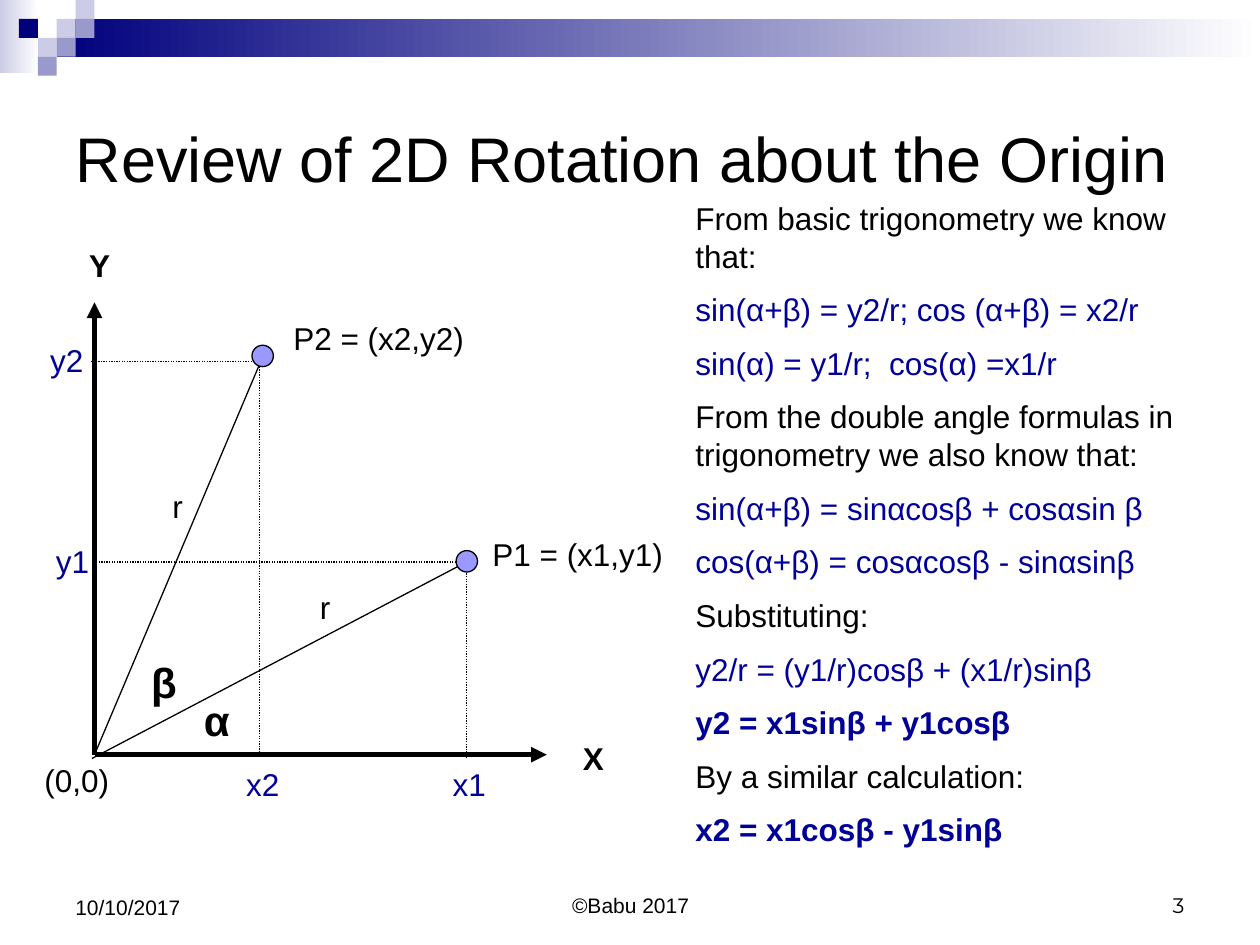
from dataclasses import dataclass

from lxml.etree import SubElement
from pptx import Presentation
from pptx.dml.color import RGBColor
from pptx.enum.dml import MSO_LINE
from pptx.enum.shapes import MSO_CONNECTOR, MSO_SHAPE
from pptx.enum.text import MSO_ANCHOR, MSO_AUTO_SIZE, PP_ALIGN
from pptx.oxml.ns import qn
from pptx.util import Inches, Pt


@dataclass(frozen=True)
class Theme:
    """Colours, fonts and type sizes of the slide."""
    black: str = "000000"
    white: str = "FFFFFF"
    navy: str = "00007D"
    lavender: str = "CCCCE6"
    violet: str = "9999CC"
    point: str = "9999FF"
    formula: str = "000099"
    font: str = "Arial"
    number_font: str = "Montserrat"
    title: int = 36
    angle: int = 24
    body: int = 18
    footer: int = 12
    paragraph_gap: int = 9


THEME = Theme()


@dataclass(frozen=True)
class Label:
    """A one-line text box."""
    text: str
    left: float
    top: float
    width: float
    height: float = 0.4
    size: int = THEME.body
    color: str = THEME.black
    bold: bool = False
    align: PP_ALIGN = PP_ALIGN.LEFT
    wrap: bool = False
    font: str = THEME.font
    footer: bool = False


@dataclass(frozen=True)
class Segment:
    """A straight line between two places."""
    start: tuple[float, float]
    end: tuple[float, float]
    width: float = 0.75
    dotted: bool = False


@dataclass(frozen=True)
class Statement:
    """A paragraph of the derivation."""
    text: str
    color: str = THEME.formula
    bold: bool = False


def style_paragraph(para, size: int, color: str, bold: bool = False,
                    font: str = THEME.font) -> None:
    """Format every run of a paragraph."""
    for span in para.runs:
        span.font.name = font
        span.font.size = Pt(size)
        span.font.bold = bold
        span.font.color.rgb = RGBColor.from_string(color)


def add_block(page, kind: MSO_SHAPE, left: float, top: float, width: float,
              height: float, color: str, fade: bool = False,
              outline: bool = False) -> None:
    """Add a filled shape, optionally fading to white or outlined."""
    block = page.shapes.add_shape(kind, Inches(left), Inches(top),
                                  Inches(width), Inches(height))
    block.shadow.inherit = False
    if fade:
        block.fill.gradient()
        block.fill.gradient_angle = 0
        for stop, shade in zip(block.fill.gradient_stops, (color, THEME.white)):
            stop.color.rgb = RGBColor.from_string(shade)
    else:
        block.fill.solid()
        block.fill.fore_color.rgb = RGBColor.from_string(color)
    if outline:
        block.line.color.rgb = RGBColor.from_string(THEME.black)
        block.line.width = Pt(0.75)
    else:
        block.line.fill.background()


def add_segment(page, segment: Segment) -> None:
    """Add a dotted guide or a solid arrow."""
    line = page.shapes.add_connector(
        MSO_CONNECTOR.STRAIGHT, *map(Inches, segment.start + segment.end))
    line.line.color.rgb = RGBColor.from_string(THEME.black)
    line.line.width = Pt(segment.width)
    if segment.dotted:
        line.line.dash_style = MSO_LINE.ROUND_DOT
    else:
        SubElement(line.line._get_or_add_ln(), qn("a:tailEnd"), type="triangle")
    SubElement(line._element.spPr, qn("a:effectLst"))


def add_label(page, label: Label) -> None:
    """Add a text box holding one line."""
    box = page.shapes.add_textbox(Inches(label.left), Inches(label.top),
                                  Inches(label.width), Inches(label.height))
    frame = box.text_frame
    frame.text = label.text
    frame.word_wrap = label.wrap
    if label.footer:
        frame.vertical_anchor = MSO_ANCHOR.BOTTOM
    else:
        frame.auto_size = MSO_AUTO_SIZE.SHAPE_TO_FIT_TEXT
    para = frame.paragraphs[0]
    para.alignment = label.align
    style_paragraph(para, label.size, label.color, label.bold, label.font)


def add_derivation(page, statements: list[Statement]) -> None:
    """Add the column of statements and formulas."""
    box = page.shapes.add_textbox(Inches(5.42), Inches(1.53),
                                  Inches(4.12), Inches(5.52))
    frame = box.text_frame
    frame.word_wrap = True
    frame.text = "\n".join(statement.text for statement in statements)
    for para, statement in zip(frame.paragraphs, statements):
        para.space_before = Pt(THEME.paragraph_gap)
        style_paragraph(para, THEME.body, statement.color, statement.bold)


def add_banner(page) -> None:
    """Add the fading bars and the checkered squares at the top."""
    add_block(page, MSO_SHAPE.RECTANGLE, 0, 0, 0.31, 0.58, THEME.lavender, fade=True)
    add_block(page, MSO_SHAPE.RECTANGLE, 0.45, 0.15, 9.55, 0.3, THEME.navy, fade=True)
    side = 0.15
    squares = {THEME.lavender: [(3, 1), (4, 0), (2, 2)],
               THEME.violet: [(4, 1), (3, 2), (2, 3)],
               THEME.navy: [(1, 1)]}
    for color, cells in squares.items():
        for column, row in cells:
            add_block(page, MSO_SHAPE.RECTANGLE, column * side, row * side,
                      side, side, color)


def add_title(page, text: str) -> None:
    """Place and format the title placeholder."""
    title = page.shapes.title
    title.left, title.top, title.width, title.height = map(Inches, (0.5, 0.5, 9, 1.5))
    title.text_frame.text = text
    title.text_frame.vertical_anchor = MSO_ANCHOR.MIDDLE
    para = title.text_frame.paragraphs[0]
    para.alignment = PP_ALIGN.LEFT
    style_paragraph(para, THEME.title, THEME.black)


CENTER = PP_ALIGN.CENTER
ORIGIN = (0.75, 5.99)
SEGMENTS = [
    Segment(ORIGIN, (0.75, 2.4), 3),
    Segment(ORIGIN, (4.34, 5.99), 3),
    Segment(ORIGIN, (2.09, 2.82)),
    Segment((0.73, 6.02), (3.78, 4.42)),
    Segment((2.06, 2.87), (2.06, 5.98), dotted=True),
    Segment((2.06, 2.87), (0.72, 2.87), dotted=True),
    Segment((3.7, 4.51), (3.7, 6.02), dotted=True),
    Segment((3.66, 4.46), (0.76, 4.46), dotted=True),
]
POINTS = [(2, 2.74), (3.62, 4.37)]
LABELS = [
    Label("X", 4.42, 5.82, 0.58, bold=True, align=CENTER, wrap=True),
    Label("Y", 0.5, 1.9, 0.58, bold=True, align=CENTER, wrap=True),
    Label("(0,0)", 0.25, 5.99, 0.72, align=CENTER),
    Label("P2 = (x2,y2)", 2.23, 2.48, 1.56),
    Label("P1 = (x1,y1)", 3.81, 4.2, 1.56),
    Label("β", 1.1, 5.16, 0.38, 0.5, THEME.angle, bold=True),
    Label("α", 1.52, 5.46, 0.41, 0.5, THEME.angle, bold=True),
    Label("r", 1.27, 3.82, 0.34, wrap=True),
    Label("r", 2.44, 4.62, 0.34, wrap=True),
    Label("x2", 1.85, 6.02, 0.47, color=THEME.formula, align=CENTER),
    Label("y2", 0.3, 2.66, 0.47, color=THEME.formula),
    Label("x1", 3.49, 6.02, 0.47, color=THEME.formula, align=CENTER),
    Label("y1", 0.34, 4.25, 0.47, color=THEME.formula, align=CENTER),
    Label("10/10/2017", 0.5, 6.83, 2.33, 0.52, THEME.footer, wrap=True, footer=True),
    Label("©Babu 2017", 3.42, 6.83, 3.17, 0.5, THEME.footer, align=CENTER,
          wrap=True, footer=True),
    Label("3", 7.17, 6.83, 2.33, 0.5, THEME.footer, align=PP_ALIGN.RIGHT,
          wrap=True, font=THEME.number_font, footer=True),
]
DERIVATION = [
    Statement("From basic trigonometry we know that:", THEME.black),
    Statement("sin(α+β) = y2/r; cos (α+β) = x2/r"),
    Statement("sin(α) = y1/r;  cos(α) =x1/r"),
    Statement("From the double angle formulas in trigonometry we also know that:",
              THEME.black),
    Statement("sin(α+β) = sinαcosβ + cosαsin β"),
    Statement("cos(α+β) = cosαcosβ - sinαsinβ"),
    Statement("Substituting:", THEME.black),
    Statement("y2/r = (y1/r)cosβ + (x1/r)sinβ"),
    Statement("y2 = x1sinβ + y1cosβ", bold=True),
    Statement("By a similar calculation:", THEME.black),
    Statement("x2 = x1cosβ - y1sinβ", bold=True),
]

deck = Presentation()
deck.slide_width, deck.slide_height = Inches(10), Inches(7.5)
page = deck.slides.add_slide(deck.slide_layouts[5])
add_banner(page)
add_title(page, "Review of 2D Rotation about the Origin")
for segment in SEGMENTS:
    add_segment(page, segment)
for left, top in POINTS:
    add_block(page, MSO_SHAPE.OVAL, left, top, 0.17, 0.17, THEME.point, outline=True)
for label in LABELS:
    add_label(page, label)
add_derivation(page, DERIVATION)
deck.save("out.pptx")
